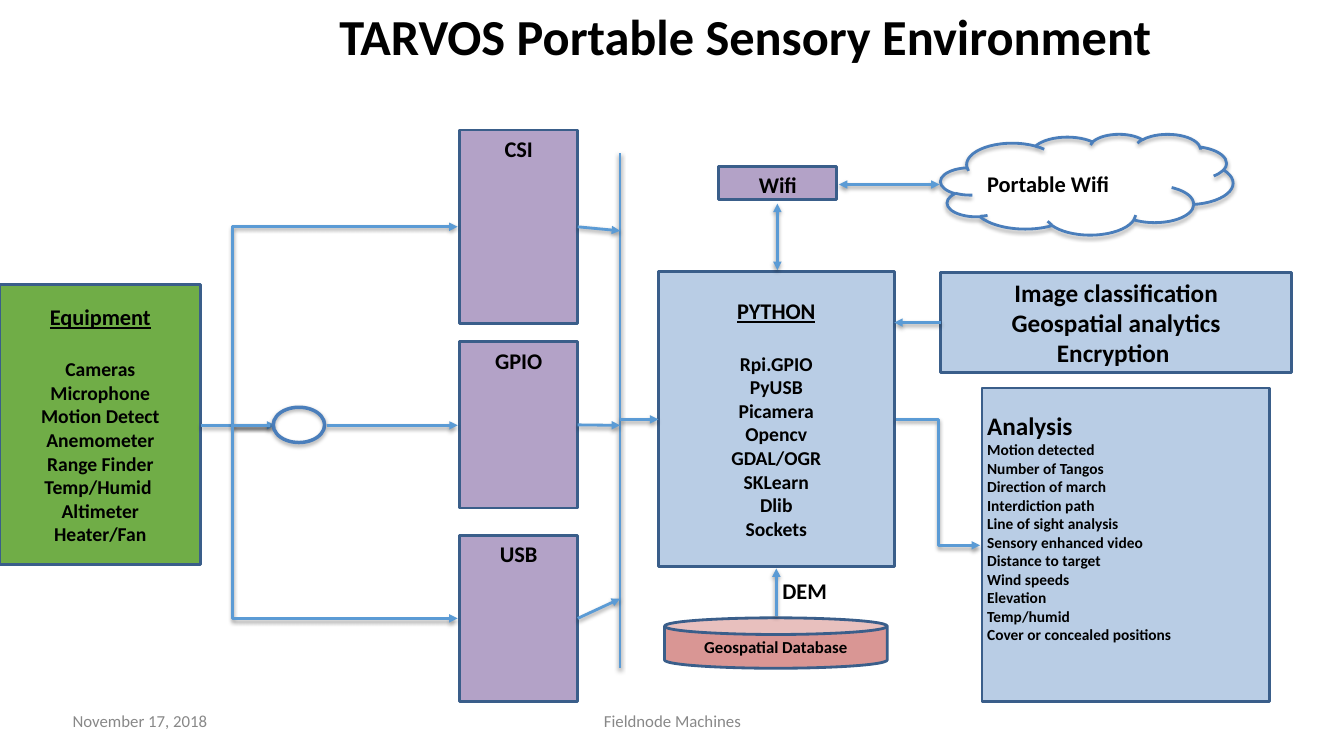
"""Build the portable sensory environment architecture slide."""
from dataclasses import dataclass

from lxml import etree
from pptx import Presentation
from pptx.dml.color import RGBColor
from pptx.enum.shapes import MSO_CONNECTOR, MSO_SHAPE
from pptx.enum.text import MSO_ANCHOR, PP_ALIGN
from pptx.oxml import parse_xml
from pptx.oxml.ns import nsdecls, qn
from pptx.util import Inches, Pt

RECT, OVAL, CLOUD, CAN = MSO_SHAPE.RECTANGLE, MSO_SHAPE.OVAL, MSO_SHAPE.CLOUD, MSO_SHAPE.CAN
STRAIGHT = MSO_CONNECTOR.STRAIGHT
TOP, MIDDLE = MSO_ANCHOR.TOP, MSO_ANCHOR.MIDDLE
LEFT, CENTER = PP_ALIGN.LEFT, PP_ALIGN.CENTER


@dataclass(frozen=True)
class Theme:
    font: str = "Calibri"
    text: str = "000000"
    muted: str = "888888"
    outline: str = "3A5E8A"
    accent: str = "4A7EBB"
    arrow: str = "5B9BD5"
    green: str = "70AD47"
    purple: str = "B3A2C7"
    blue: str = "B9CDE5"
    red: str = "D99694"
    title: int = 36
    large: int = 18
    label: int = 16
    body: int = 14
    small: int = 12
    tiny: int = 11


T = Theme()

EQUIPMENT = ["Cameras", "Microphone", "Motion Detect", "Anemometer", "Range Finder",
             "Temp/Humid ", "Altimeter", "Heater/Fan"]
LIBRARIES = ["Rpi.GPIO", "PyUSB", "Picamera", "Opencv", "GDAL/OGR", "SKLearn", "Dlib", "Sockets"]
SERVICES = ["Image classification", "Geospatial analytics", "Encryption "]
ANALYSES = ["Motion detected", "Number of Tangos", "Direction of march", "Interdiction path",
            "Line of sight analysis", "Sensory enhanced video", "Distance to target",
            "Wind speeds", "Elevation", "Temp/humid", "Cover or concealed positions"]
PORTS = [("CSI", 1.29, 1.92, 2.29), ("GPIO", 3.39, 1.65, 4.22), ("USB", 5.31, 1.65, 5.94)]
PORT_LEFT, PORT_WIDTH = 4.56, 1.17
BUS_X, SPLIT_X, AXIS_Y = 6.15, 2.31, 4.22


def set_frame(s, anchor, wrap=True):
    tf = s.text_frame
    tf.word_wrap, tf.vertical_anchor = wrap, anchor
    tf.margin_left = tf.margin_right = tf.margin_top = tf.margin_bottom = Inches(0.05)
    return tf


def write(tf, lines, size, align=CENTER, color=T.text, bold=True):
    for line in lines:
        p = tf.add_paragraph() if tf.text else tf.paragraphs[0]
        p.text, p.alignment = line, align
        p.font.name, p.font.size, p.font.bold = T.font, Pt(size), bold
        p.font.color.rgb = RGBColor.from_string(color)


def write_heading(tf, text):
    write(tf, [text], T.label)
    p = tf.paragraphs[0]
    p.font.underline = True
    p.space_after = Pt(19.5)


def add_text(slide, box, text, size, align=CENTER, anchor=TOP, color=T.text, bold=True, wrap=True):
    s = slide.shapes.add_textbox(*map(Inches, box))
    write(set_frame(s, anchor, wrap), [text], size, align, color, bold)


def set_line(s, color, width=2):
    s.line.color.rgb = RGBColor.from_string(color)
    s.line.width = Pt(width)


def add_box(slide, kind, box, fill, anchor=MIDDLE):
    s = slide.shapes.add_shape(kind, *map(Inches, box))
    s.shadow.inherit = False
    s.fill.solid()
    s.fill.fore_color.rgb = RGBColor.from_string(fill)
    set_line(s, T.outline)
    set_frame(s, anchor)
    return s


def add_shadow(s, opacity):
    s._element.spPr.append(parse_xml(
        f'<a:effectLst {nsdecls("a")}><a:outerShdw blurRad="{Pt(3)}" dist="{Pt(1.7)}" '
        f'dir="5400000" rotWithShape="0"><a:srgbClr val="000000">'
        f'<a:alpha val="{opacity * 1000}"/></a:srgbClr></a:outerShdw></a:effectLst>'))


def add_outline(slide, kind, box, width):
    s = slide.shapes.add_shape(kind, *map(Inches, box))
    s.fill.background()
    set_line(s, T.accent, width)
    add_shadow(s, 35)


def style_route(s, ends):
    set_line(s, T.arrow)
    for end in ends:
        etree.SubElement(s.line._get_or_add_ln(), qn(f"a:{end}"), type="triangle")
    add_shadow(s, 38)


def add_arrow(slide, start, stop, ends=("tailEnd",)):
    s = slide.shapes.add_connector(STRAIGHT, *map(Inches, start + stop))
    style_route(s, ends)


def add_route(slide, points):
    start, *rest = [(Inches(x), Inches(y)) for x, y in points]
    builder = slide.shapes.build_freeform(*start)
    builder.add_line_segments(rest, close=False)
    s = builder.convert_to_shape()
    s.fill.background()
    style_route(s, ("tailEnd",))


def add_ports(slide):
    right = PORT_LEFT + PORT_WIDTH
    for name, top, height, bus_y in PORTS:
        s = add_box(slide, RECT, (PORT_LEFT, top, PORT_WIDTH, height), T.purple, TOP)
        write(s.text_frame, [name], T.label)
        middle = top + height / 2
        add_arrow(slide, (right, middle), (BUS_X, bus_y))
        if name == "GPIO":
            add_arrow(slide, (3.24, AXIS_Y), (4.54, AXIS_Y))
        else:
            add_route(slide, [(2.68, AXIS_Y), (SPLIT_X, AXIS_Y), (SPLIT_X, middle), (4.54, middle)])


def add_panels(slide):
    for box, fill, heading, lines in [((0, 2.82, 1.99, 2.78), T.green, "Equipment", EQUIPMENT),
                                      ((6.53, 2.69, 2.34, 2.93), T.blue, "PYTHON", LIBRARIES)]:
        tf = add_box(slide, RECT, box, fill).text_frame
        write_heading(tf, heading)
        write(tf, lines, T.body)
    s = add_box(slide, RECT, (9.33, 2.7, 3.48, 1), T.blue)
    write(s.text_frame, SERVICES, T.large)
    tf = add_box(slide, RECT, (9.74, 3.85, 2.85, 3.11), T.blue, TOP).text_frame
    tf.margin_top = Inches(0.22)
    write(tf, ["Analysis"], T.large, LEFT)
    write(tf, ANALYSES, T.tiny, LEFT)


def add_database(slide):
    s = add_box(slide, CAN, (6.59, 6.13, 2.21, 0.5), T.red)
    s.adjustments[0] = 0.33
    write(s.text_frame, ["Geospatial Database"], T.small)
    add_arrow(slide, (7.7, 6.11), (7.7, 5.64))
    add_text(slide, (7.71, 5.68, 0.55, 0.37), "DEM", T.label, LEFT, wrap=False)


def add_wifi(slide):
    both = ("headEnd", "tailEnd")
    s = add_box(slide, RECT, (7.13, 1.65, PORT_WIDTH, 0.33), T.purple, TOP)
    write(s.text_frame, ["Wifi"], T.label)
    add_outline(slide, CLOUD, (9.33, 1.33, 2.9, 1), 2)
    add_text(slide, (9.74, 1.64, 1.33, 0.37), "Portable Wifi", T.label, LEFT, wrap=False)
    add_arrow(slide, (7.71, 2.68), (7.71, 2.02), both)
    add_arrow(slide, (8.32, 1.83), (9.32, 1.83), both)


def main():
    prs = Presentation()
    prs.slide_width, prs.slide_height = Inches(13.33), Inches(7.5)
    slide = prs.slides.add_slide(prs.slide_layouts[6])
    add_text(slide, (1.46, 0, 11.87, 0.71), "TARVOS Portable Sensory Environment", T.title)
    add_panels(slide)
    add_arrow(slide, (BUS_X, 1.52), (BUS_X, 6.63), ())
    add_arrow(slide, (1.99, AXIS_Y), (2.73, AXIS_Y))
    add_outline(slide, OVAL, (2.71, 4.04, 0.51, 0.35), 2.5)
    add_ports(slide)
    add_arrow(slide, (BUS_X, 4.16), (6.53, 4.16))
    add_arrow(slide, (9.33, 3.2), (8.87, 3.2))
    add_route(slide, [(8.89, 4.16), (9.31, 4.16), (9.31, 5.41), (9.72, 5.41)])
    add_database(slide)
    add_wifi(slide)
    add_text(slide, (0.67, 7, 3.11, 0.3), "November 17, 2018", T.small, LEFT, MIDDLE, T.muted, False)
    add_text(slide, (4.56, 7, 4.22, 0.3), "Fieldnode Machines", T.small, CENTER, MIDDLE, T.muted, False)
    prs.save("out.pptx")


if __name__ == "__main__":
    main()
